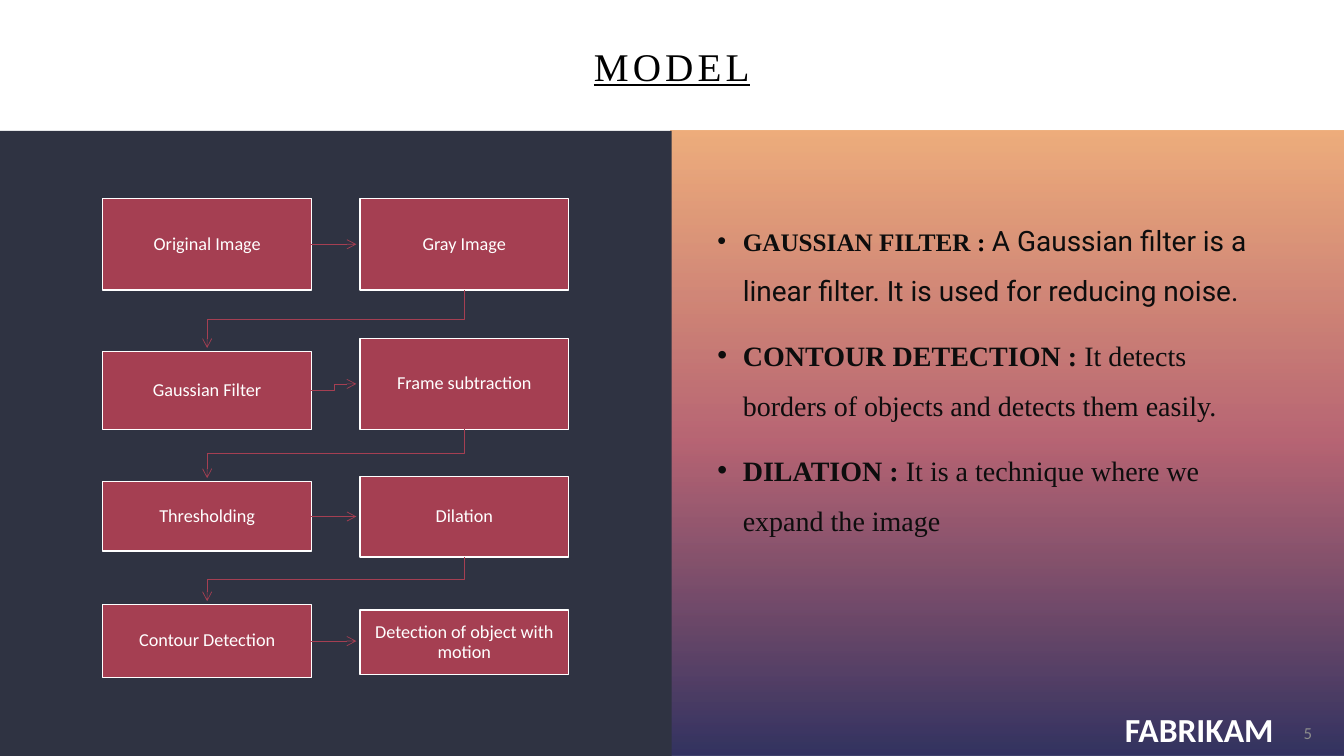
"""Build the MODEL slide: a flow of processing steps beside their explanations."""
from lxml import etree
from pptx import Presentation
from pptx import util as u
from pptx.dml.color import RGBColor
from pptx.enum import shapes, text
from pptx.oxml import parse_xml
from pptx.oxml.ns import nsdecls, qn

STEPS = [
    ("Original Image", 1.7, 2.31, "Gray Image", 1.7, 2.31),
    ("Gaussian Filter", 5.56, 1.96, "Frame subtraction", 5.23, 2.29),
    ("Thresholding", 8.84, 1.75, "Dilation", 8.71, 2.03),
    ("Contour Detection", 11.94, 1.83, "Detection of object with motion", 12.07, 1.63),
]
SERIF = dict(name="Times New Roman", size=20, color="0D0D0D")
BOLD = dict(SERIF, bold=True)
NOTES = [
    [("GAUSSIAN FILTER", dict(BOLD, size=18)),
     (" : ", dict(BOLD, size=18, color="000000")),
     ("A Gaussian filter is a linear filter. It is used for reducing noise.",
      dict(SERIF, name="Roboto"))],
    [("CONTOUR DETECTION :\N{NO-BREAK SPACE}", BOLD),
     ("It detects borders of objects and detects them easily.", SERIF)],
    [("DILATION : ", BOLD),
     ("It is a technique where we expand the image", SERIF)],
]
GRADIENT = [(0, "01023B"), (50, "A53F52"), (100, "EA9A5C")]


def color(value):
    """Turn a hex string into a colour."""
    return RGBColor.from_string(value)


def add_run(paragraph, words, style):
    """Add a run with the given format values."""
    run = paragraph.add_run()
    run.text = words
    for name, value in style.items():
        if name == "color":
            run.font.color.rgb = color(value)
        else:
            setattr(run.font, name, u.Pt(value) if name == "size" else value)
    return run


def format_frame(frame, inset=(0.25, 0.13), **values):
    """Set the insets and attributes of a text frame."""
    across, down = (u.Cm(length) for length in inset)
    settings = dict(word_wrap=True, vertical_anchor=text.MSO_ANCHOR.MIDDLE,
                    margin_left=across, margin_right=across,
                    margin_top=down, margin_bottom=down)
    for name, value in (settings | values).items():
        setattr(frame, name, value)


def add_label(slide, box, words, style, align=text.PP_ALIGN.CENTER, **values):
    """Add one line of text in a box and return its run."""
    shape = slide.shapes.add_textbox(*map(u.Cm, box))
    format_frame(shape.text_frame, **values)
    paragraph = shape.text_frame.paragraphs[0]
    paragraph.alignment = align
    return add_run(paragraph, words, style)


def add_rectangle(slide, box, fill, line=None):
    """Add a rectangle with a solid fill and an optional outline."""
    shape = slide.shapes.add_shape(shapes.MSO_SHAPE.RECTANGLE, *map(u.Cm, box))
    shape.shadow.inherit = False
    shape.fill.solid()
    shape.fill.fore_color.rgb = color(fill)
    if line:
        shape.line.color.rgb = color(line)
        shape.line.width = u.Pt(1)
    else:
        shape.line.fill.background()
    return shape


def add_arrow(slide, kind, begin, end, rotation=0):
    """Add a thin arrow between two points."""
    connector = slide.shapes.add_connector(kind, *map(u.Cm, (*begin, *end)))
    connector.rotation = rotation
    connector.line.color.rgb = color("A53F52")
    connector.line.width = u.Pt(0.5)
    etree.SubElement(connector.line._get_or_add_ln(), qn("a:tailEnd"), type="arrow")
    etree.SubElement(connector._element.spPr, qn("a:effectLst"))


def add_step(slide, box, words):
    """Add one step of the flow."""
    shape = add_rectangle(slide, box, "A53F52", "FFFFFF")
    format_frame(shape.text_frame, inset=(0.25, 0.25))
    paragraph = shape.text_frame.paragraphs[0]
    paragraph.alignment = text.PP_ALIGN.CENTER
    paragraph.line_spacing = 0.9
    add_run(paragraph, words, dict(name="Calibri", size=13, color="FFFFFF"))


def add_flow(slide, box):
    """Add the dark panel with its two columns of steps and the arrows."""
    left, top, _, _ = box
    first, second, width, gap = left + 2.59, left + 9.07, 5.26, 0.09
    add_rectangle(slide, box, "2F3342")
    previous_bottom = None
    for name, y, height, next_name, next_y, next_height in STEPS:
        y, next_y = top + y, top + next_y
        add_step(slide, (first, y, width, height), name)
        add_step(slide, (second, next_y, width, next_height), next_name)
        start, end = y + height / 2, next_y + next_height / 2
        level = abs(start - end) < 0.05
        kind = shapes.MSO_CONNECTOR.STRAIGHT if level else shapes.MSO_CONNECTOR.ELBOW
        add_arrow(slide, kind, (first + width, start),
                  (second - gap, start if level else end))
        if previous_bottom:
            drop, reach = y - gap - previous_bottom, second - first
            x, middle = (first + second + width) / 2, previous_bottom + drop / 2
            add_arrow(slide, shapes.MSO_CONNECTOR.ELBOW,
                      (x - drop / 2, middle - reach / 2),
                      (x + drop / 2, middle + reach / 2), rotation=90)
        previous_bottom = next_y + next_height


def add_gradient(slide, box):
    """Add the translucent gradient panel."""
    shape = add_rectangle(slide, box, "A53F52")
    shape.fill.gradient()
    shape.fill.gradient_angle = 90
    stops = shape._element.spPr.find(qn("a:gradFill")).find(qn("a:gsLst"))
    for stop in list(stops):
        stops.remove(stop)
    for position, value in GRADIENT:
        stops.append(parse_xml(
            f'<a:gs {nsdecls("a")} pos="{position * 1000}"><a:srgbClr val="{value}">'
            '<a:alpha val="80000"/></a:srgbClr></a:gs>'))


def add_notes(slide, box):
    """Add the bulleted explanations and the footer on the gradient panel."""
    left, top, width, height = box
    add_gradient(slide, box)
    shape = slide.shapes.add_textbox(
        *map(u.Cm, (left + 0.94, top + 1.78, width - 2.58, height - 3.66)))
    frame = shape.text_frame
    format_frame(frame, vertical_anchor=text.MSO_ANCHOR.TOP)
    for index, runs in enumerate(NOTES):
        paragraph = frame.add_paragraph() if index else frame.paragraphs[0]
        paragraph.line_spacing = 1.5
        if index:
            paragraph.space_before = u.Pt(10)
        properties = paragraph._p.get_or_add_pPr()
        properties.set("marL", str(u.Cm(0.64)))
        properties.set("indent", str(-u.Cm(0.64)))
        etree.SubElement(properties, qn("a:buFont"), typeface="Arial")
        etree.SubElement(properties, qn("a:buChar"), char="•")
        for words, style in runs:
            add_run(paragraph, words, style)
    bottom, right = top + height, left + width
    add_label(slide, (right - 5.57, bottom - 1.24, 3.89, 1.14), "FABRIKAM",
              dict(name="Calibri", size=24, color="FFFFFF", bold=True),
              text.PP_ALIGN.LEFT, inset=(0.05, 0.05), word_wrap=False)
    add_label(slide, (right - 1.79, bottom - 1.09, 1.24, 1.02), "5",
              dict(name="Calibri", size=12, color="8C8C8C"), text.PP_ALIGN.RIGHT)


def add_title(slide, box):
    """Add the underlined, widely spaced title."""
    run = add_label(slide, box, "MODEL", dict(
        name="Times New Roman", size=28, color="000000", underline=True))
    run.font._element.set("spc", "300")


def main():
    """Build and save the presentation."""
    presentation = Presentation()
    presentation.slide_width, presentation.slide_height = u.Cm(33.87), u.Cm(19.05)
    slide = presentation.slides.add_slide(presentation.slide_layouts[6])
    add_notes(slide, (16.89, 3.3, 16.98, 15.75))
    add_flow(slide, (0, 3.3, 16.93, 15.75))
    add_title(slide, (1.65, 0, 30.56, 3.3))
    presentation.save("out.pptx")


if __name__ == "__main__":
    main()
